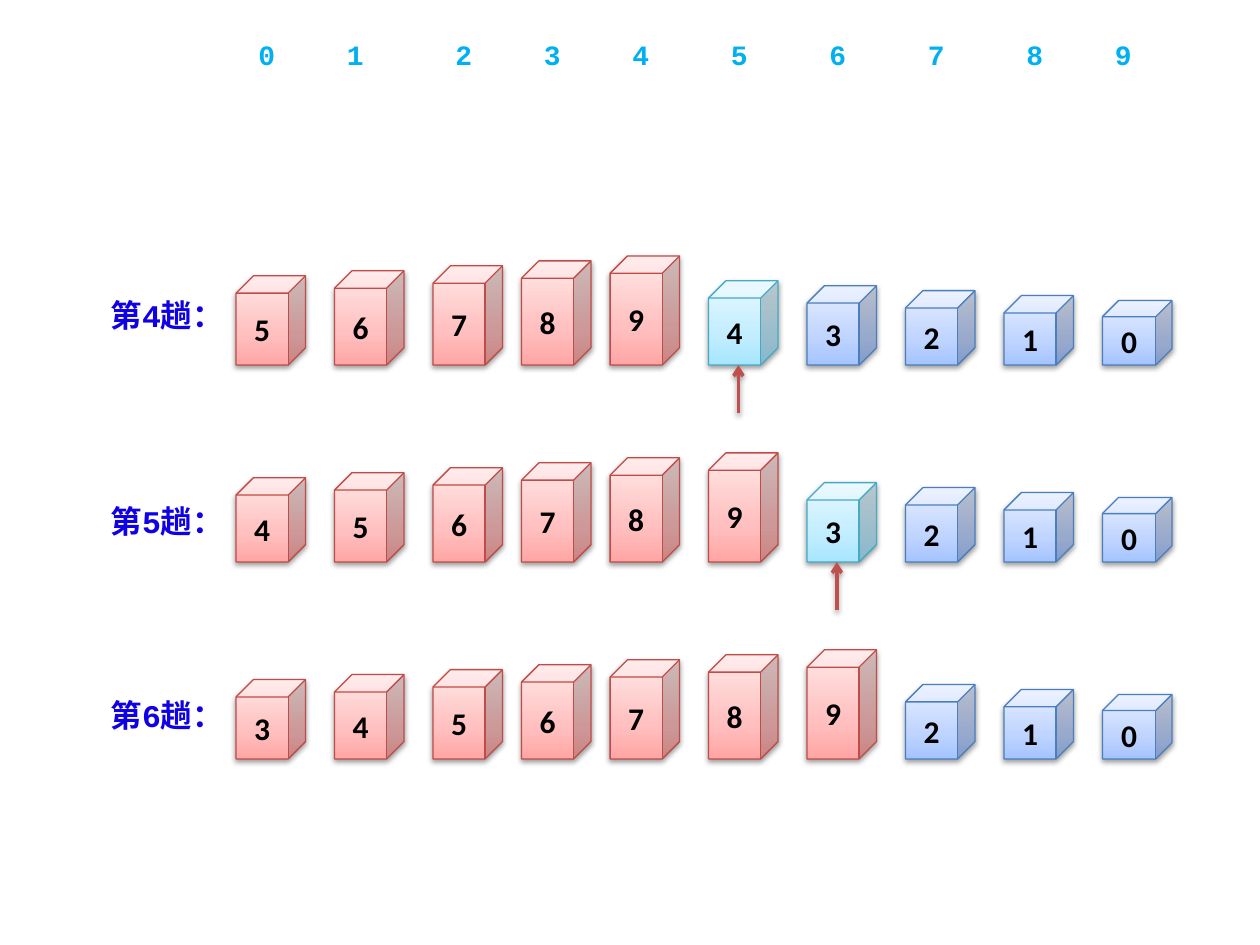
from dataclasses import dataclass
from itertools import accumulate

from lxml.etree import SubElement as Sub
from pptx import Presentation
from pptx.dml.color import RGBColor as Rgb
from pptx.enum.shapes import MSO_CONNECTOR as Link, MSO_SHAPE as Kind
from pptx.enum.text import MSO_ANCHOR as Anchor, MSO_AUTO_SIZE as Fit, PP_ALIGN as Align
from pptx.oxml import parse_xml
from pptx.oxml.ns import nsdecls, qn
from pptx.util import Cm, Pt


@dataclass(frozen=True)
class Theme:
    mono: str = "Courier New"
    sans: str = "Calibri"
    big: int = 18
    small: int = 16
    label: str = "1000E4"
    index: str = "00B0F0"
    digit: str = "000000"
    arrow: str = "C0504D"
    red: tuple = ("BF4C48", "FFA6A5", "FFC0BF", "FFE7E7")
    cyan: tuple = ("46AAC5", "A7E6FF", "C1EDFF", "E7F8FF")
    blue: tuple = ("4B7EBC", "A4C4FF", "BFD4FF", "E6EEFF")


def write(frame, text, font, size, color, align=Align.LEFT):
    para = frame.paragraphs[0]
    para.alignment = align
    run = para.add_run()
    run.text = text
    run.font.name = font
    run.font.size = Pt(size)
    run.font.bold = True
    run.font.color.rgb = Rgb.from_string(color)


class Board:
    def __init__(self, slide, theme):
        self.shapes = slide.shapes
        self.theme = theme

    def shade(self, shape):
        effect = Sub(shape._element.spPr, qn("a:effectLst"))
        shadow = Sub(effect, qn("a:outerShdw"), blurRad="40000", dist="20000",
                     dir="5400000", rotWithShape="0")
        color = Sub(shadow, qn("a:srgbClr"), val="000000")
        Sub(color, qn("a:alpha"), val="38000")

    def blend(self, shape, colors):
        stops = "".join(
            f'<a:gs pos="{pos}000"><a:srgbClr val="{color}"/></a:gs>'
            for pos, color in zip((0, 35, 100), colors))
        fill = parse_xml(
            f'<a:gradFill {nsdecls("a")} rotWithShape="1"><a:gsLst>{stops}</a:gsLst>'
            '<a:lin ang="16200000" scaled="0"/></a:gradFill>')
        shape._element.spPr.find(qn("a:prstGeom")).addnext(fill)

    def note(self, text, left, top, width, height, size, color):
        box = self.shapes.add_textbox(Cm(left), Cm(top), Cm(width), Cm(height))
        frame = box.text_frame
        frame.word_wrap = True
        frame.auto_size = Fit.SHAPE_TO_FIT_TEXT
        write(frame, text, font=self.theme.mono, size=size, color=color)

    def cube(self, value, left, base, look):
        line, *colors = look
        height = 1.3 + 0.1 * value
        cube = self.shapes.add_shape(Kind.CUBE, Cm(left), Cm(base - height),
                                     Cm(1.4), Cm(height))
        self.blend(cube, colors)
        cube.line.color.rgb = Rgb.from_string(line)
        cube.line.width = Pt(0.75)
        self.shade(cube)
        cube.text_frame.vertical_anchor = Anchor.MIDDLE
        write(cube.text_frame, str(value), font=self.theme.sans, size=self.theme.big,
              color=self.theme.digit, align=Align.CENTER)

    def arrow(self, left, base):
        arrow = self.shapes.add_connector(Link.STRAIGHT, Cm(left), Cm(base + 0.97),
                                          Cm(left), Cm(base))
        arrow.line.color.rgb = Rgb.from_string(self.theme.arrow)
        arrow.line.width = Pt(2)
        Sub(arrow.line._get_or_add_ln(), qn("a:tailEnd"), type="arrow")
        self.shade(arrow)

    def row(self, step, cols, base, top, active):
        theme = self.theme
        self.note(f"第{step}趟：", 1.98, top, 2.38, 1.02, theme.big, theme.label)
        values = [*range(9 - step, 10), *range(8 - step, -1, -1)]
        for spot, (left, value) in enumerate(zip(cols, values)):
            if spot <= step:
                look = theme.red
            elif active and spot == step + 1:
                look = theme.cyan
            else:
                look = theme.blue
            self.cube(value, left, base, look)
        if active:
            self.arrow(cols[step + 1] + 0.6, base)


def main():
    deck = Presentation()
    deck.slide_width, deck.slide_height = Cm(25.4), Cm(19.05)
    theme = Theme()
    board = Board(deck.slides.add_slide(deck.slide_layouts[6]), theme)
    wide, tight = 1.985, 1.785
    cols = list(accumulate([4.76, wide, wide, tight, tight] + [wide] * 5))
    for spot, left in enumerate(cols):
        shift = 0 if spot in (1, 9) else 0.2
        board.note(str(spot), left + shift, 0.64, 1, 0.94, theme.small, theme.index)
    for step, top, active in ((4, 5.85, True), (5, 10, True), (6, 13.9, False)):
        base = 7.36 + 3.97 * (step - 4)
        board.row(step, cols, base, top, active)
    deck.save("out.pptx")


if __name__ == "__main__":
    main()
